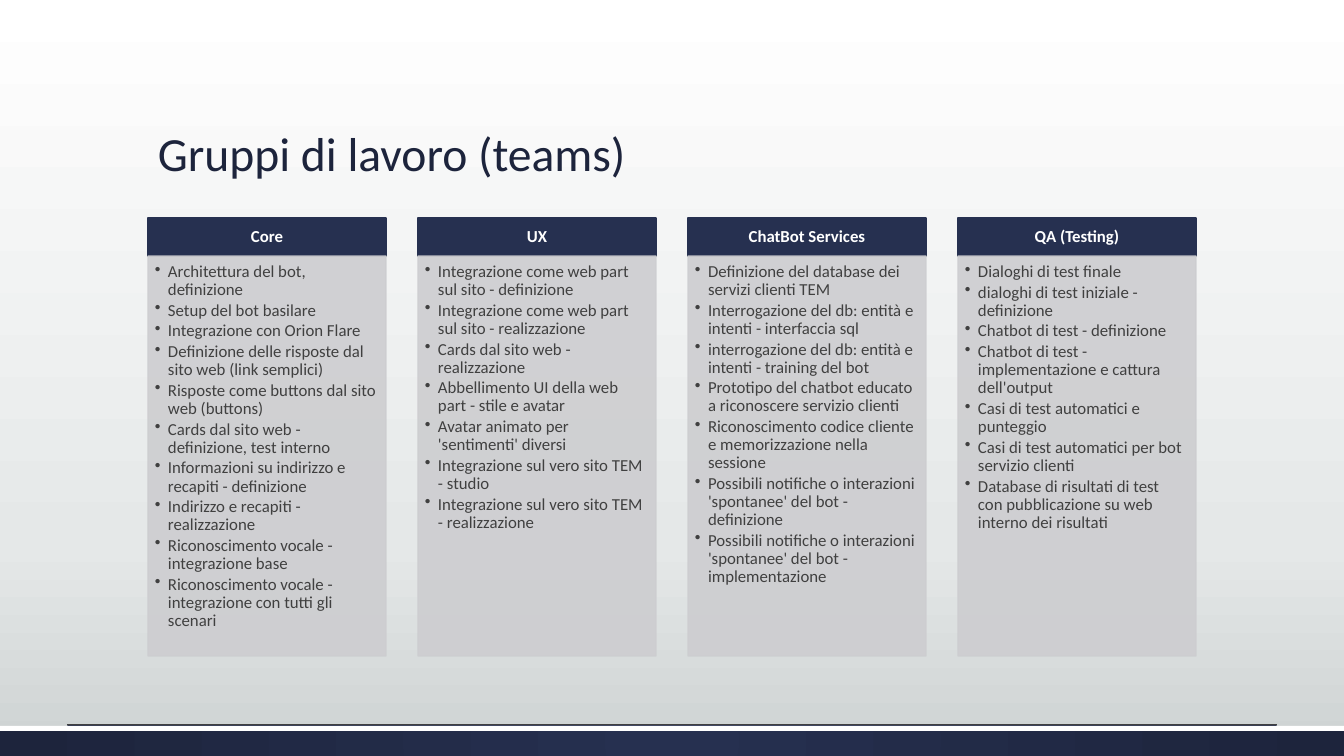
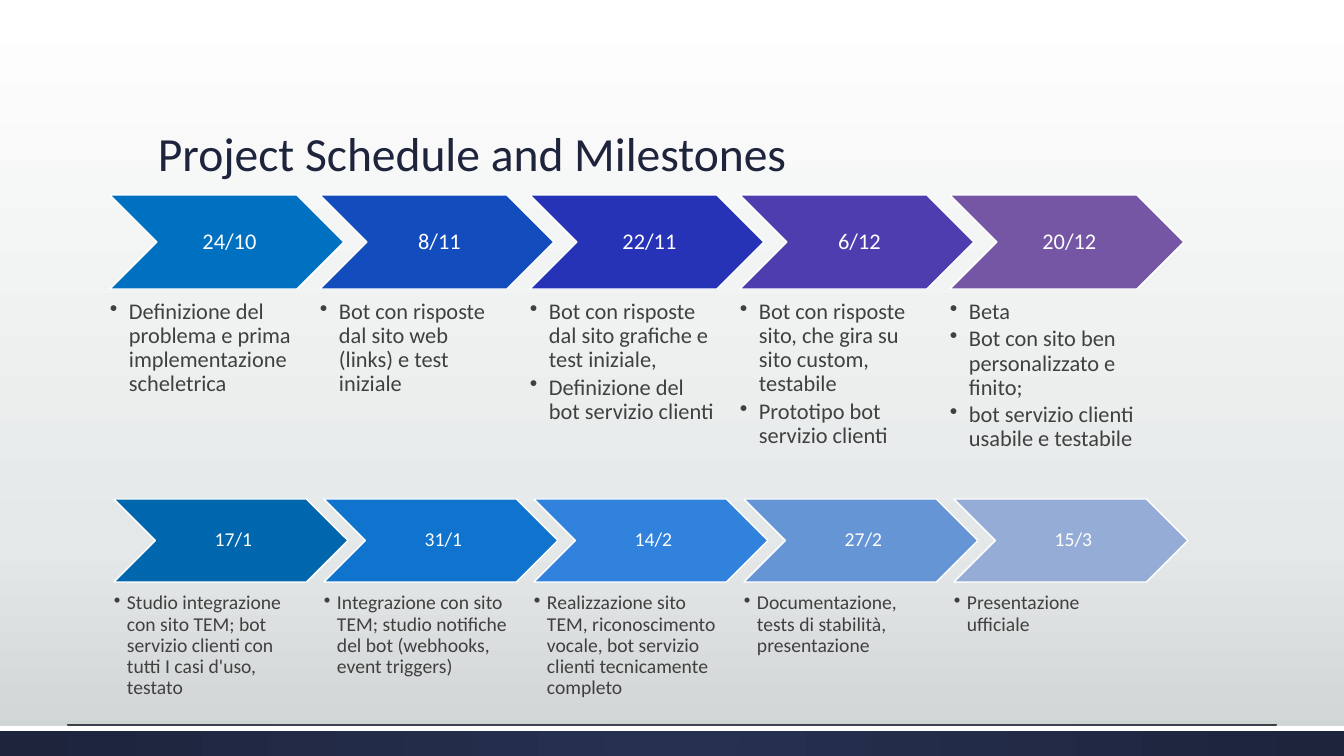
from lxml.etree import SubElement
from pptx import Presentation
from pptx.dml.color import RGBColor
from pptx.enum.shapes import MSO_CONNECTOR, MSO_SHAPE
from pptx.enum.text import MSO_ANCHOR, MSO_AUTO_SIZE, PP_ALIGN
from pptx.oxml.ns import qn
from pptx.util import Emu, Pt

SCALE = 12192000 / 1344
WIDE, HIGH = 1344, 756
FONT = "Calibri"
NAVY, DEEP, WHITE, GREY, TEXT = "263050", "1D243C", "FFFFFF", "CDCDD0", "404040"
SKY = [(0, "FFFFFF"), (72, "E5E8E8"), (100, "CDD2D2")]
GLOW = [(0, NAVY), (100, DEEP)]

TEAMS = [
    ("Core", [
        "Architettura del bot, definizione",
        "Setup del bot basilare",
        "Integrazione con Orion Flare",
        "Definizione delle risposte dal sito web (link semplici)",
        "Risposte come buttons dal sito web (buttons)",
        "Cards dal sito web - definizione, test interno",
        "Informazioni su indirizzo e recapiti - definizione",
        "Indirizzo e recapiti - realizzazione",
        "Riconoscimento vocale - integrazione base",
        "Riconoscimento vocale - integrazione con tutti gli scenari",
    ]),
    ("UX", [
        "Integrazione come web part sul sito - definizione",
        "Integrazione come web part sul sito - realizzazione",
        "Cards dal sito web - realizzazione",
        "Abbellimento UI della web part - stile e avatar",
        "Avatar animato per 'sentimenti' diversi",
        "Integrazione sul vero sito TEM - studio",
        "Integrazione sul vero sito TEM - realizzazione",
    ]),
    ("ChatBot Services", [
        "Definizione del database dei servizi clienti TEM",
        "Interrogazione del db: entità e intenti - interfaccia sql",
        "interrogazione del db: entità e intenti - training del bot",
        "Prototipo del chatbot educato a riconoscere servizio clienti",
        "Riconoscimento codice cliente e memorizzazione nella sessione",
        "Possibili notifiche o interazioni 'spontanee' del bot - definizione",
        "Possibili notifiche o interazioni 'spontanee' del bot - implementazione",
    ]),
    ("QA (Testing)", [
        "Dialoghi di test finale",
        "dialoghi di test iniziale - definizione",
        "Chatbot di test - definizione",
        "Chatbot di test - implementazione e cattura dell'output",
        "Casi di test automatici e punteggio",
        "Casi di test automatici per bot servizio clienti",
        "Database di risultati di test con pubblicazione su web interno dei risultati",
    ]),
]

AUTUMN = [
    ("24/10", "0070C0", ["Definizione del problema e prima implementazione scheletrica"]),
    ("8/11", "124CBD", ["Bot con risposte dal sito web (links) e test iniziale"]),
    ("22/11", "2633B7", ["Bot con risposte dal sito grafiche e test iniziale,",
                         "Definizione del bot servizio clienti"]),
    ("6/12", "4E3DAF", ["Bot con risposte sito, che gira su sito custom, testabile",
                        "Prototipo bot servizio clienti"]),
    ("20/12", "7556A4", ["Beta", "Bot con sito ben personalizzato e finito;",
                         "bot servizio clienti usabile e testabile"]),
]
WINTER = [
    ("17/1", "0066AE", ["Studio integrazione con sito TEM; bot servizio clienti "
                        "con tutti I casi d'uso, testato"]),
    ("31/1", "1074CE", ["Integrazione con sito TEM; studio notifiche del bot "
                        "(webhooks, event triggers)"]),
    ("14/2", "3082DD", ["Realizzazione sito TEM, riconoscimento vocale, bot servizio "
                        "clienti tecnicamente completo"]),
    ("27/2", "6695D6", ["Documentazione, tests di stabilità, presentazione"]),
    ("15/3", "95ADD6", ["Presentazione ufficiale"]),
]


def px(size):
    return Emu(round(size * SCALE))


def area(*box):
    return [px(side) for side in box]


def apply(item, values):
    for name, value in values.items():
        setattr(item, name, value)


def paint(color, code):
    color.rgb = RGBColor.from_string(code)


def shade(node, stops, glow=False):
    grad = next(node.iter(qn("a:gradFill")))
    for child in list(grad):
        grad.remove(child)
    chain = SubElement(grad, qn("a:gsLst"))
    for place, code in stops:
        stop = SubElement(chain, qn("a:gs"), pos=str(place * 1000))
        SubElement(stop, qn("a:srgbClr"), val=code)
    if glow:
        ring = SubElement(grad, qn("a:path"), path="circle")
        SubElement(ring, qn("a:fillToRect"), l="50000", t="50000", r="50000", b="50000")
    else:
        SubElement(grad, qn("a:lin"), ang="5400000", scaled="0")


def block(slide, kind, box, code, edge=None, alpha=None):
    shape = slide.shapes.add_shape(kind, *area(*box))
    shape.shadow.inherit = False
    shape.fill.solid()
    paint(shape.fill.fore_color, code)
    if edge:
        paint(shape.line.color, edge)
        shape.line.width = Pt(1)
    else:
        shape.line.fill.background()
    if alpha:
        for tint in list(shape.element.spPr.iter(qn("a:srgbClr"))):
            SubElement(tint, qn("a:alpha"), val=str(alpha * 1000))
    return shape


def write(frame, lines, size, code, pad, indent=0, bold=False,
          align=PP_ALIGN.LEFT, anchor=MSO_ANCHOR.TOP):
    sides = ("margin_left", "margin_top", "margin_right", "margin_bottom")
    apply(frame, dict(zip(sides, area(*pad))))
    apply(frame, {"word_wrap": True, "auto_size": MSO_AUTO_SIZE.NONE,
                  "vertical_anchor": anchor})
    for index, line in enumerate(lines):
        para = frame.add_paragraph() if index else frame.paragraphs[0]
        apply(para, {"alignment": align, "line_spacing": 0.9,
                     "space_before": Pt(0), "space_after": Pt(size * 0.15)})
        run = para.add_run()
        run.text = line
        apply(run.font, {"name": FONT, "size": Pt(size), "bold": bold})
        paint(run.font.color, code)
        if indent:
            props = para._p.get_or_add_pPr()
            props.set("marL", str(px(indent)))
            props.set("indent", str(-px(indent)))
            SubElement(props, qn("a:buChar"), char="•")


def label(shape, text, size, pad, bold=False):
    write(shape.text_frame, [text], size, WHITE, pad, bold=bold,
          align=PP_ALIGN.CENTER, anchor=MSO_ANCHOR.MIDDLE)


def theme(deck):
    layout = deck.slide_layouts[5]
    layout.background.fill.gradient()
    shade(layout.element.cSld, SKY)
    title, *rest = layout.placeholders
    for spare in rest:
        layout.shapes.element.remove(spare.element)
    names = ("left", "top", "width", "height")
    apply(title, dict(zip(names, area(148, 51, 1048, 136))))
    return layout


def footer(slide, layout, box):
    left, top, width, height = box
    band = block(slide, MSO_SHAPE.RECTANGLE, box, NAVY)
    band.fill.gradient()
    shade(band.element, GLOW, glow=True)
    strip = block(slide, MSO_SHAPE.RECTANGLE, (left, top, width, 5), WHITE)
    rule = slide.shapes.add_connector(
        MSO_CONNECTOR.STRAIGHT, *area(left + 67, top - 1, left + width - 67, top - 1))
    paint(rule.line.color, TEXT)
    rule.line.width = Pt(0.75)
    SubElement(rule.element.spPr, qn("a:effectLst"))
    for part in (band, strip, rule):
        layout.shapes.element.append(part.element)


def page(deck, layout, text):
    slide = deck.slides.add_slide(layout)
    write(slide.shapes.title.text_frame, [text], 34, DEEP, (10, 5, 10, 5),
          anchor=MSO_ANCHOR.BOTTOM)
    return slide


def team(slide, box, name, tasks):
    left, top, width, height = box
    head = block(slide, MSO_SHAPE.RECTANGLE, (left, top, width, 38), NAVY, NAVY)
    label(head, name, 12, (9, 5, 9, 5), bold=True)
    body = block(slide, MSO_SHAPE.RECTANGLE, (left, top + 38, width, height - 38),
                 GREY, GREY, 90)
    write(body.text_frame, tasks, 12, TEXT, (7, 7, 9, 10), 13)


def teams(slide, box, gap):
    left, top, width, height = box
    step = (width + gap) // len(TEAMS)
    for index, (name, tasks) in enumerate(TEAMS):
        team(slide, (left + index * step, top, step - gap, height), name, tasks)


def phase(slide, box, rows, deep, size, indent):
    left, top, width, height = box
    step = 210
    last = width - step * (len(rows) - 1)
    for index, (date, code, goals) in enumerate(rows):
        start = left + index * step
        arrow = block(slide, MSO_SHAPE.CHEVRON, (start, top, last, deep), code, WHITE)
        label(arrow, date, size, (7, 2, 2, 2))
        note = slide.shapes.add_textbox(
            *area(start, top + deep + 11, last * 4 // 5, height - deep - 11))
        write(note.text_frame, goals, size, TEXT, (0, 0, 0, 0), indent)


def main():
    deck = Presentation()
    apply(deck, {"slide_width": px(WIDE), "slide_height": px(HIGH)})
    layout = theme(deck)
    groups = page(deck, layout, "Gruppi di lavoro (teams)")
    footer(groups, layout, (0, 726, WIDE, 30))
    teams(groups, (148, 218, 1048, 438), 32)
    plan = page(deck, layout, "Project Schedule and Milestones")
    phase(plan, (110, 195, 1074, 264), AUTUMN, 94, 16, 19)
    phase(plan, (114, 499, 1074, 204), WINTER, 83, 14, 13)
    deck.save("out.pptx")


if __name__ == "__main__":
    main()
